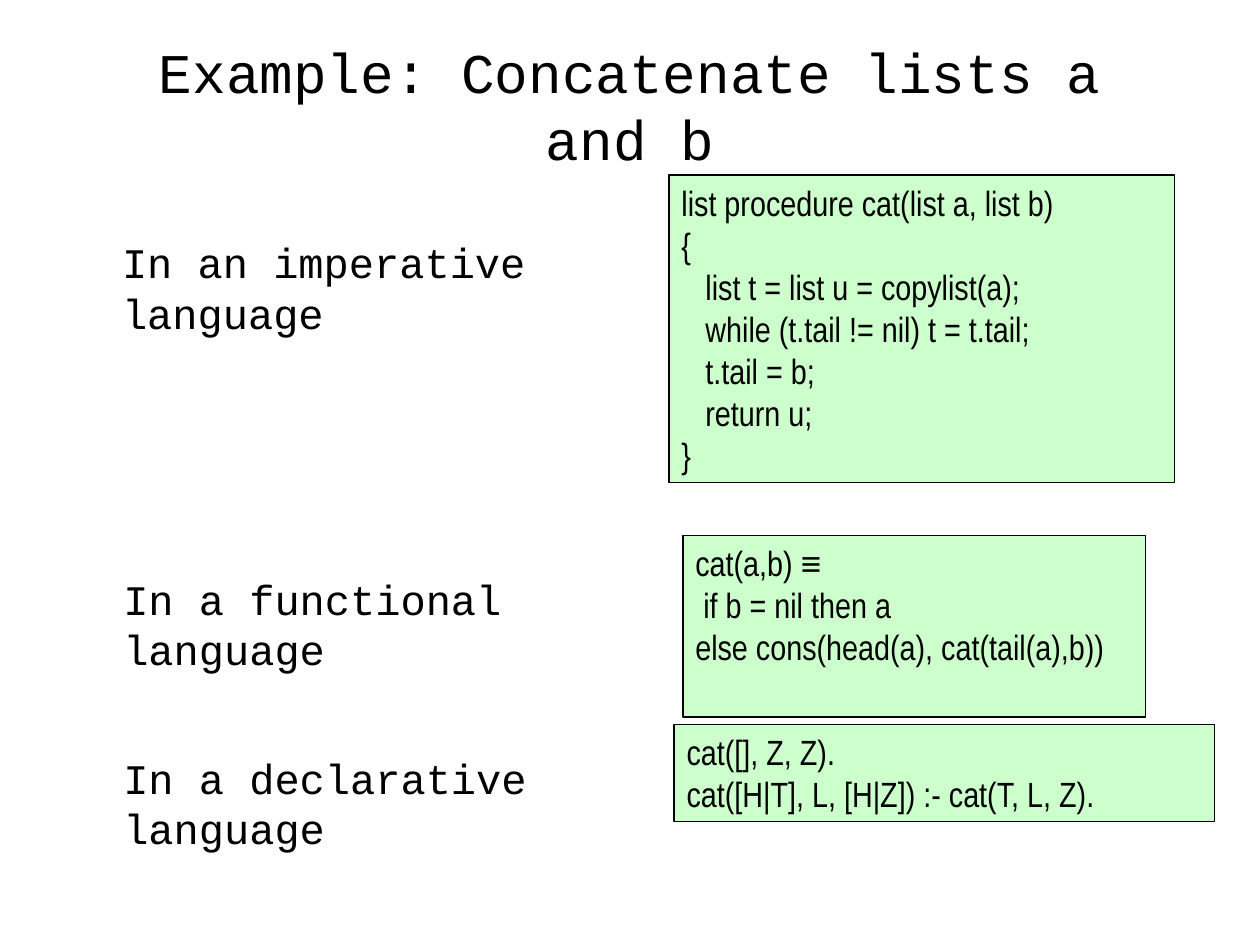
import pptx
import pptx.dml.color
import pptx.enum.shapes
import pptx.enum.text
import pptx.util

Inches = pptx.util.Inches
ALIGN = pptx.enum.text.PP_ALIGN
ANCHOR = pptx.enum.text.MSO_ANCHOR

COLORS = {"text": "000000", "code": "CCFFCC", "border": "000000"}
MONO = "Courier New"
NARROW = "Arial Narrow"
SYMBOL = "Arial"


def rgb(name):
    return pptx.dml.color.RGBColor.from_string(COLORS[name])


def add_span(para, text, *, font, size, color="text"):
    span = para.add_run()
    span.text = text
    span.font.name = font
    span.font.size = pptx.util.Pt(size)
    span.font.color.rgb = rgb(color)


class SlideBuilder:
    def __init__(self, deck):
        self.page = deck.slides.add_slide(deck.slide_layouts[5])

    def fill_frame(self, frame, lines, *, font, size, align=ALIGN.LEFT, anchor=ANCHOR.TOP):
        """Write lines; a line is a string or a list of (text, font) pairs."""
        frame.word_wrap = True
        frame.auto_size = pptx.enum.text.MSO_AUTO_SIZE.NONE
        frame.vertical_anchor = anchor
        for index, line in enumerate(lines):
            para = frame.add_paragraph() if index else frame.paragraphs[0]
            para.alignment = align
            parts = [(line, font)] if isinstance(line, str) else line
            for text, part_font in parts:
                add_span(para, text, font=part_font, size=size)

    def title(self, text, left, top, width, height):
        box = self.page.shapes.title
        box.left, box.top = Inches(left), Inches(top)
        box.width, box.height = Inches(width), Inches(height)
        self.fill_frame(box.text_frame, [text], font=MONO, size=32,
                        align=ALIGN.CENTER, anchor=ANCHOR.MIDDLE)

    def label(self, text, left, top, width, height=0.5):
        box = self.page.shapes.add_textbox(*map(Inches, (left, top, width, height)))
        self.fill_frame(box.text_frame, [text], font=MONO, size=24)

    def code(self, lines, left, top, width, height):
        box = self.page.shapes.add_shape(
            pptx.enum.shapes.MSO_SHAPE.RECTANGLE,
            *map(Inches, (left, top, width, height)))
        box.shadow.inherit = False
        box.fill.solid()
        box.fill.fore_color.rgb = rgb("code")
        box.line.color.rgb = rgb("border")
        box.line.width = pptx.util.Pt(0.75)
        self.fill_frame(box.text_frame, lines, font=NARROW, size=20)


def main():
    deck = pptx.Presentation()
    deck.slide_width, deck.slide_height = Inches(10), Inches(7.5)
    slide = SlideBuilder(deck)

    slide.title("Example: Concatenate lists a and b", 0.75, 0.33, 8.5, 1)

    # Imperative version
    slide.label("In an imperative language", 0.87, 1.83, 4.32)
    slide.code([
        "list procedure cat(list a, list b)",
        "{",
        "   list t = list u = copylist(a);",
        "   while (t.tail != nil) t = t.tail;",
        "   t.tail = b;",
        "   return u;",
        "}",
    ], 5.31, 1.39, 4.01, 2.44)

    # Functional version
    slide.label("In a functional language", 0.88, 4.5, 4.01)
    slide.code([
        [("cat(a,b) ", NARROW), ("≡", SYMBOL)],
        " if b = nil then a",
        "else cons(head(a), cat(tail(a),b))",
    ], 5.42, 4.25, 3.67, 1.44)

    # Declarative version
    slide.label("In a declarative language", 0.88, 5.92, 4.15)
    slide.code([
        "cat([], Z, Z).",
        "cat([H|T], L, [H|Z]) :- cat(T, L, Z).",
    ], 5.35, 5.75, 4.29, 0.77)

    deck.save("out.pptx")


if __name__ == "__main__":
    main()
